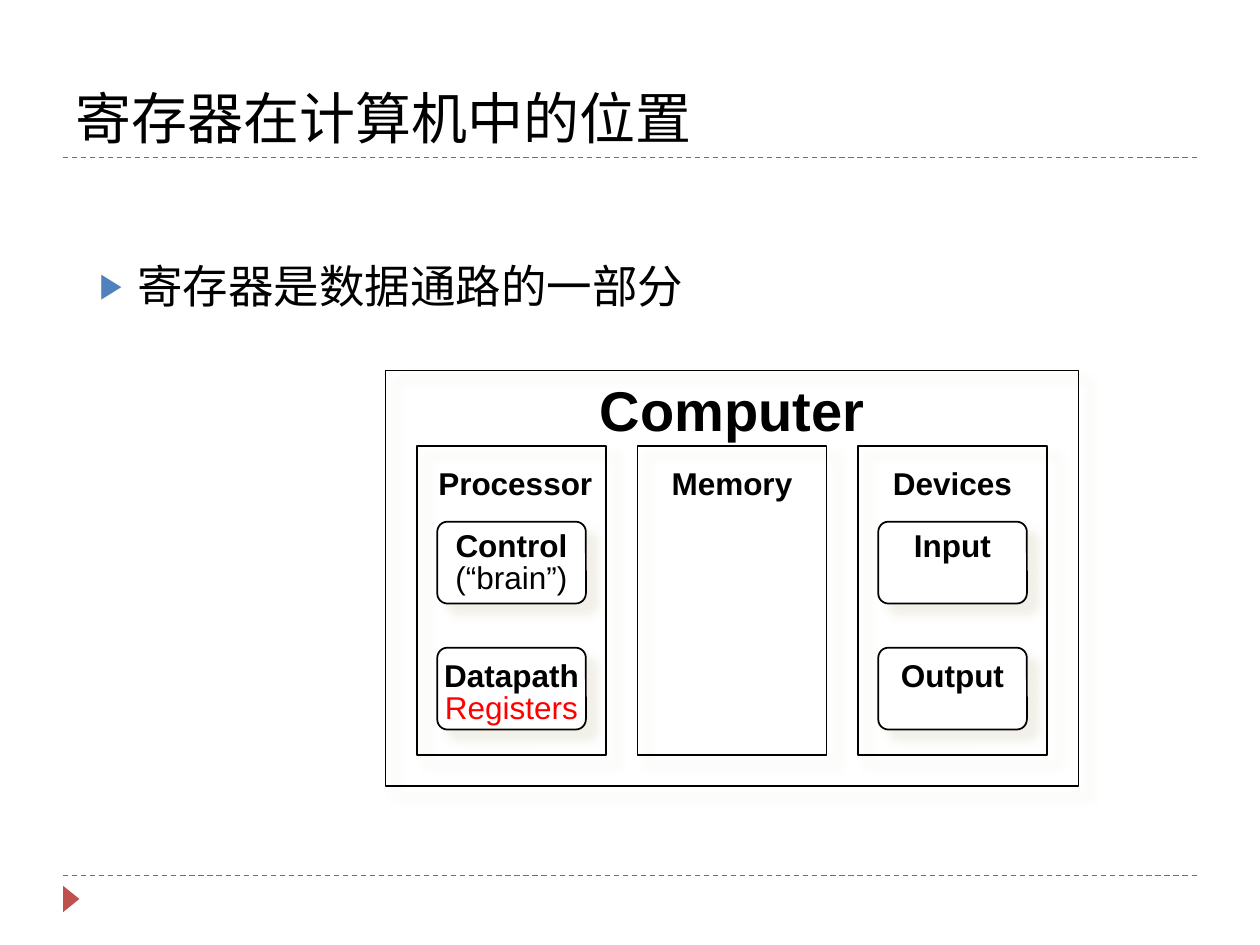
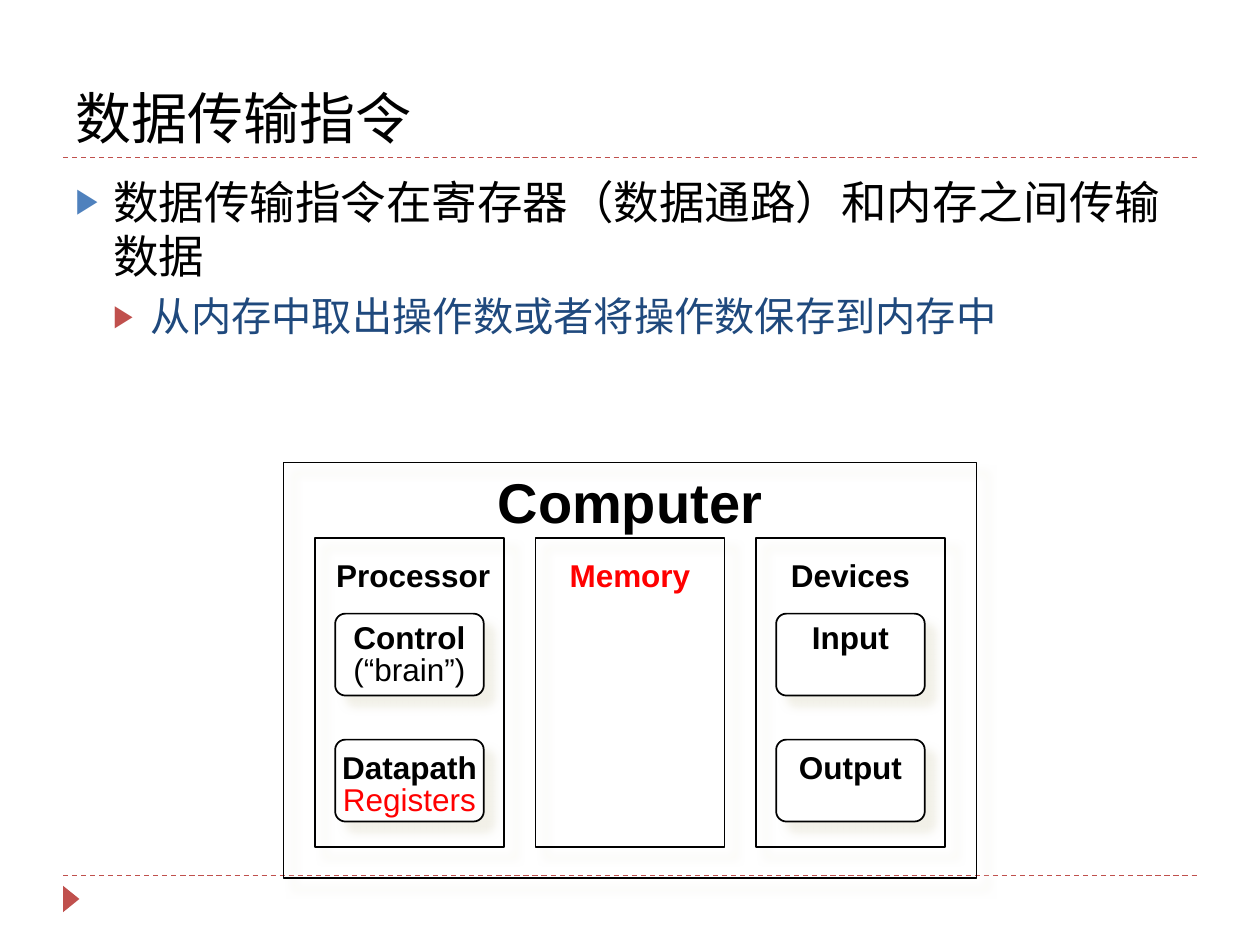
"""Build two slides on where registers sit in a computer."""
from dataclasses import dataclass

from lxml import etree
from pptx import Presentation
from pptx.dml.color import RGBColor
from pptx.enum.dml import MSO_LINE
from pptx.enum.shapes import MSO_CONNECTOR, MSO_SHAPE
from pptx.enum.text import MSO_ANCHOR, MSO_AUTO_SIZE, PP_ALIGN
from pptx.oxml.ns import qn
from pptx.util import Inches, Pt

DASH = MSO_LINE.DASH
STRAIGHT = MSO_CONNECTOR.STRAIGHT
RECTANGLE = MSO_SHAPE.RECTANGLE
ROUNDED = MSO_SHAPE.ROUNDED_RECTANGLE
TRIANGLE = MSO_SHAPE.ISOSCELES_TRIANGLE
BOTTOM, TOP = MSO_ANCHOR.BOTTOM, MSO_ANCHOR.TOP
NO_FIT = MSO_AUTO_SIZE.NONE
LEFT, CENTER = PP_ALIGN.LEFT, PP_ALIGN.CENTER
TITLE_ONLY = 5


@dataclass(frozen=True)
class Theme:
    """Colours, fonts and type sizes of the deck."""
    ink: str = "000000"
    paper: str = "FFFFFF"
    accent: str = "C0504D"
    blue: str = "4F81BD"
    navy: str = "1F497D"
    red: str = "FF0000"
    shadow: str = "EEECE1"
    text_font: str = "Calibri"
    diagram_font: str = "Arial"
    title_size: int = 32
    body_sizes: tuple = (26, 23)
    label_size: int = 18


THEME = Theme()
BULLET_COLORS = (THEME.blue, THEME.accent)
BODY_COLORS = (THEME.ink, THEME.navy)
BODY_SPACING = (6, 5)

COLUMN_WIDTH, COLUMN_PITCH, COLUMN_MARGIN, COLUMN_TOP = 1.5, 1.75, 0.25, 0.6
PART_TOPS = (1.2, 2.2)
LABEL_TOPS = (1.25, 2.28)
COLUMNS = (
    ("Processor", 0.03, (("Control", "(“brain”)"), ("Datapath", "Registers"))),
    ("Memory", 0, ()),
    ("Devices", 0, (("Input",), ("Output",))),
)


def color(value):
    """Turn a hex string into a colour."""
    return RGBColor.from_string(value)


def place(*lengths):
    """Turn numbers into lengths in inches."""
    return [Inches(length) for length in lengths]


def apply(target, formats):
    """Set attributes of an object from a dict."""
    for name, value in formats.items():
        setattr(target, name, value)


def add_span(para, text, tint, **formats):
    """Add a run with its colour and font values."""
    span = para.add_run()
    span.text = text
    apply(span.font, formats)
    span.font.color.rgb = color(tint)


def add_rule(page, top):
    """Draw a dashed rule across the page."""
    rule = page.shapes.add_connector(STRAIGHT, *place(0.5, top, 9.5, top))
    apply(rule.line, {"width": Pt(0.75), "dash_style": DASH})
    rule.line.color.rgb = color(THEME.accent)
    etree.SubElement(rule._element.spPr, qn("a:effectLst"))


def add_page(deck, title):
    """Add a page with its title, rules and corner marker."""
    page = deck.slides.add_slide(deck.slide_layouts[TITLE_ONLY])
    for top in (6.95, 1.25):
        add_rule(page, top)
    marker = page.shapes.add_shape(TRIANGLE, *place(0.46, 7.07, 0.21, 0.13))
    marker.rotation = 90
    marker.shadow.inherit = False
    marker.fill.solid()
    marker.fill.fore_color.rgb = color(THEME.accent)
    marker.line.fill.background()

    box = page.shapes.title
    left, top, width, height = place(0.5, 0.17, 9, 1.08)
    apply(box, {"left": left, "top": top, "width": width, "height": height})
    apply(box.text_frame, {"auto_size": NO_FIT, "word_wrap": True,
                           "vertical_anchor": BOTTOM})
    para = box.text_frame.paragraphs[0]
    para.alignment = LEFT
    add_span(para, title, THEME.ink, name=THEME.text_font,
             size=Pt(THEME.title_size))
    return page


def add_bullet(para, level):
    """Give a paragraph a hanging triangle bullet."""
    properties = para._p.get_or_add_pPr()
    properties.set("marL", str(Inches(0.3 * (level + 1))))
    properties.set("indent", str(Inches(-0.3)))
    tint = etree.SubElement(properties, qn("a:buClr"))
    etree.SubElement(tint, qn("a:srgbClr"), val=BULLET_COLORS[level])
    etree.SubElement(properties, qn("a:buSzPct"), val="76000")
    etree.SubElement(properties, qn("a:buFont"), typeface=THEME.diagram_font)
    etree.SubElement(properties, qn("a:buChar"), char="▶")


def add_body(page, area, lines):
    """Add bulleted text, one level deeper for each line."""
    frame = page.shapes.add_textbox(*place(*area)).text_frame
    frame.word_wrap = True
    for level, text in enumerate(lines):
        para = frame.add_paragraph() if level else frame.paragraphs[0]
        add_bullet(para, level)
        apply(para, {"level": level,
                     "space_before": Pt(BODY_SPACING[level] if level else 0)})
        add_span(para, text, BODY_COLORS[level], name=THEME.text_font,
                 size=Pt(THEME.body_sizes[level]))


def add_block(shapes, kind, area, filled=False):
    """Draw an outlined block with a soft shadow."""
    block = shapes.add_shape(kind, *place(*area))
    block.line.color.rgb = color(THEME.ink)
    block.line.width = Pt(1)
    if filled:
        block.fill.solid()
        block.fill.fore_color.rgb = color(THEME.paper)
        block.adjustments[0] = 0.125
    else:
        block.fill.background()
    block.shadow.inherit = False
    effects = block._element.spPr.find(qn("a:effectLst"))
    shadow = etree.SubElement(
        effects, qn("a:outerShdw"), blurRad=str(Pt(5)), dist=str(Pt(8.5)),
        dir="2700000", algn="ctr", rotWithShape="0")
    tint = etree.SubElement(shadow, qn("a:srgbClr"), val=THEME.shadow)
    etree.SubElement(tint, qn("a:alpha"), val="75000")


def add_label(shapes, area, lines, highlights, size=THEME.label_size):
    """Add a centred label with a bold first line."""
    frame = shapes.add_textbox(*place(*area)).text_frame
    side, edge = place(0.07, 0.03)
    apply(frame, {"word_wrap": True, "vertical_anchor": TOP,
                  "margin_left": side, "margin_right": side,
                  "margin_top": edge, "margin_bottom": edge})
    for index, text in enumerate(lines):
        para = frame.add_paragraph() if index else frame.paragraphs[0]
        apply(para, {"alignment": CENTER, "line_spacing": 0.85})
        tint = THEME.red if text in highlights else THEME.ink
        add_span(para, text, tint, name=THEME.diagram_font, size=Pt(size),
                 bold=index == 0)


def add_computer(page, left, top, highlights):
    """Draw the computer with its processor, memory and devices."""
    shapes = page.shapes.add_group_shape().shapes
    add_block(shapes, RECTANGLE, (left, top, 5.5, 3.3))
    add_label(shapes, (left, top + 0.09, 5.5, 0.51), ("Computer",),
              highlights, THEME.title_size)
    for index, (name, shift, parts) in enumerate(COLUMNS):
        x = left + COLUMN_MARGIN + index * COLUMN_PITCH
        add_block(shapes, RECTANGLE,
                  (x, top + COLUMN_TOP, COLUMN_WIDTH, 2.45))
        add_label(shapes, (x + shift, top + 0.76, COLUMN_WIDTH, 0.32),
                  (name,), highlights)
        for lines, part_top, label_top in zip(parts, PART_TOPS, LABEL_TOPS):
            add_block(shapes, ROUNDED,
                      (x + 0.16, top + part_top, 1.18, 0.65), filled=True)
            add_label(shapes,
                      (x, top + label_top, COLUMN_WIDTH,
                       0.06 + 0.26 * len(lines)),
                      lines, highlights)


def main():
    """Build and save the deck."""
    deck = Presentation()
    deck.slide_width, deck.slide_height = place(10, 7.5)

    page = add_page(deck, "寄存器在计算机中的位置")
    add_body(page, (0.69, 2, 8.62, 0.79), ("寄存器是数据通路的一部分",))
    add_computer(page, 3.06, 2.94, ("Registers",))

    page = add_page(deck, "数据传输指令")
    add_body(page, (0.5, 1.33, 9, 5.37),
             ("数据传输指令在寄存器（数据通路）和内存之间传输数据",
              "从内存中取出操作数或者将操作数保存到内存中"))
    add_computer(page, 2.25, 3.67, ("Registers", "Memory"))

    deck.save("out.pptx")


if __name__ == "__main__":
    main()
